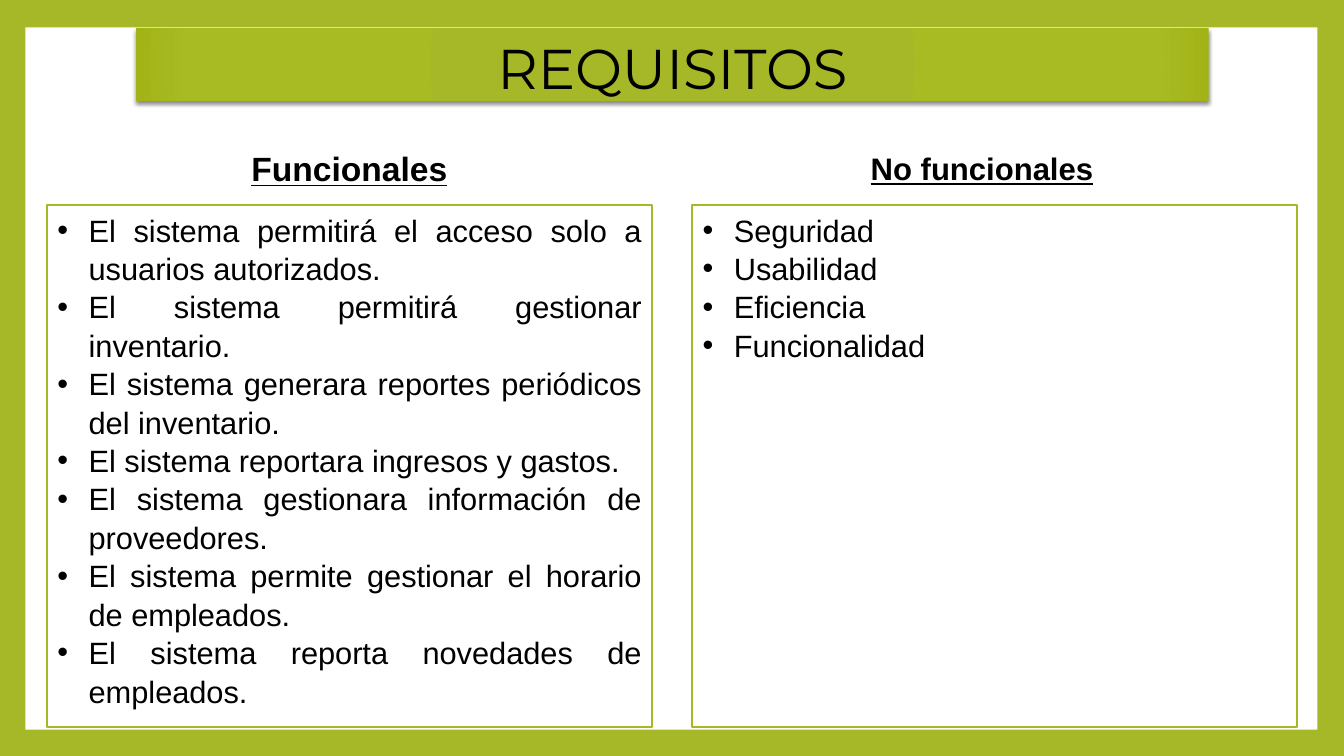
from lxml import etree
from pptx import Presentation
from pptx import util as u
from pptx.dml.color import RGBColor
from pptx.enum import shapes, text
from pptx.oxml import parse_xml
from pptx.oxml.ns import nsdecls, qn

GREEN = RGBColor(0xA6, 0xB7, 0x27)
WHITE = RGBColor(0xFF, 0xFF, 0xFF)
BLACK = RGBColor(0, 0, 0)

FUNCTIONAL = [
    "El sistema permitirá el acceso solo a usuarios autorizados.",
    "El sistema permitirá gestionar inventario.",
    "El sistema generara reportes periódicos del inventario.",
    "El sistema reportara ingresos y gastos.",
    "El sistema gestionara información de proveedores.",
    "El sistema permite gestionar el horario de empleados.",
    "El sistema reporta novedades de empleados.",
]
NON_FUNCTIONAL = ["Seguridad", "Usabilidad", "Eficiencia", "Funcionalidad"]


def place(box, left, top, width, height):
    box.left, box.top = u.Cm(left), u.Cm(top)
    box.width, box.height = u.Cm(width), u.Cm(height)


def write(box, lines, font, size, align, anchor):
    frame = box.text_frame
    frame.text = "\n".join(lines)
    frame.word_wrap = True
    frame.auto_size = text.MSO_AUTO_SIZE.NONE
    frame.vertical_anchor = anchor
    for para in frame.paragraphs:
        para.alignment = align
        para.space_before = u.Pt(0)
        for span in para.runs:
            span.font.name = font
            span.font.size = u.Pt(size)
            span.font.color.rgb = BLACK


deck = Presentation()
deck.slide_width, deck.slide_height = u.Cm(33.87), u.Cm(19.05)
page = deck.slides.add_slide(deck.slide_layouts.get_by_name("Comparison"))
page.background.fill.solid()
page.background.fill.fore_color.rgb = GREEN

# White panel behind everything, leaving a green frame
panel = page.shapes.add_shape(
    shapes.MSO_SHAPE.RECTANGLE, u.Cm(0.64), u.Cm(0.69), u.Cm(32.56), u.Cm(17.7))
panel.shadow.inherit = False
panel.fill.solid()
panel.fill.fore_color.rgb = WHITE
panel.line.fill.background()
page.shapes._spTree.insert(2, panel._element)

# Title banner with gradient and shadow
title = page.shapes.title
place(title, 3.43, 0.71, 27.03, 1.83)
write(title, ["REQUISITOS"], "Montserrat", 40,
      text.PP_ALIGN.CENTER, text.MSO_ANCHOR.TOP)
stops = "".join(
    f'<a:gs pos="{percent * 1000}"><a:srgbClr val="{color}"/></a:gs>'
    for percent, color in [(0, GREEN), (90, "A9BB23"), (100, "A1B316")])
title._element.spPr.append(parse_xml(
    f'<a:gradFill {nsdecls("a")}><a:gsLst>{stops}</a:gsLst><a:path path="circle">'
    '<a:fillToRect l="100000" t="100000" r="100000" b="100000"/></a:path></a:gradFill>'))
title._element.spPr.append(parse_xml(
    f'<a:effectLst {nsdecls("a")}><a:outerShdw blurRad="{u.Pt(3)}" dist="{u.Pt(2)}" '
    'dir="5400000" rotWithShape="0"><a:srgbClr val="000000"><a:alpha val="45000"/>'
    '</a:srgbClr></a:outerShdw></a:effectLst>'))

# Two columns: heading and bulleted list
columns = [
    (1, "Funcionales", 24, 6.15, 5.31, FUNCTIONAL, 1.19, text.PP_ALIGN.JUSTIFY),
    (3, "No funcionales", 22.2, 21.79, 5.92, NON_FUNCTIONAL, 17.45, text.PP_ALIGN.LEFT),
]
for slot, name, size, name_left, name_width, items, list_left, align in columns:
    heading = page.placeholders[slot]
    place(heading, name_left, 3.33, name_width, 1.83)
    write(heading, [name], "Arial", size, text.PP_ALIGN.CENTER, text.MSO_ANCHOR.MIDDLE)
    frame = heading.text_frame
    frame.margin_left = frame.margin_right = u.Cm(0.13)
    frame.margin_top = frame.margin_bottom = 0
    font = frame.paragraphs[0].runs[0].font
    font.bold = font.underline = True

    listing = page.placeholders[slot + 1]
    place(listing, list_left, 5.16, 15.24, 13.16)
    listing.fill.solid()
    listing.fill.fore_color.rgb = WHITE
    listing.line.color.rgb = GREEN
    listing.line.width = u.Pt(1.5)
    write(listing, items, "Arial", 22, align, text.MSO_ANCHOR.TOP)
    for para in listing.text_frame.paragraphs:
        para.line_spacing = 1.04
        props = para._p.get_or_add_pPr()
        props.set("marL", str(u.Cm(0.79)))
        props.set("indent", str(-u.Cm(0.79)))
        etree.SubElement(props, qn("a:buFont"), typeface="Arial")
        etree.SubElement(props, qn("a:buChar"), char="•")

deck.save("out.pptx")
